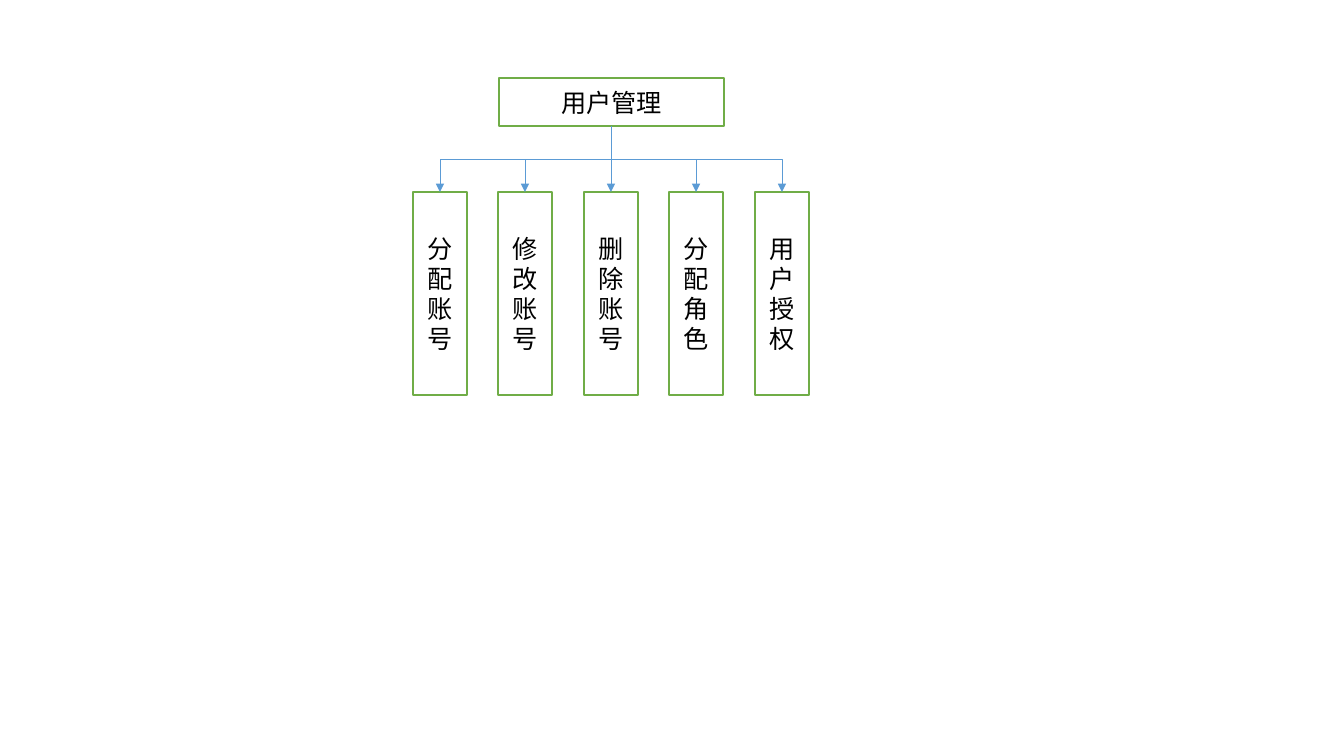
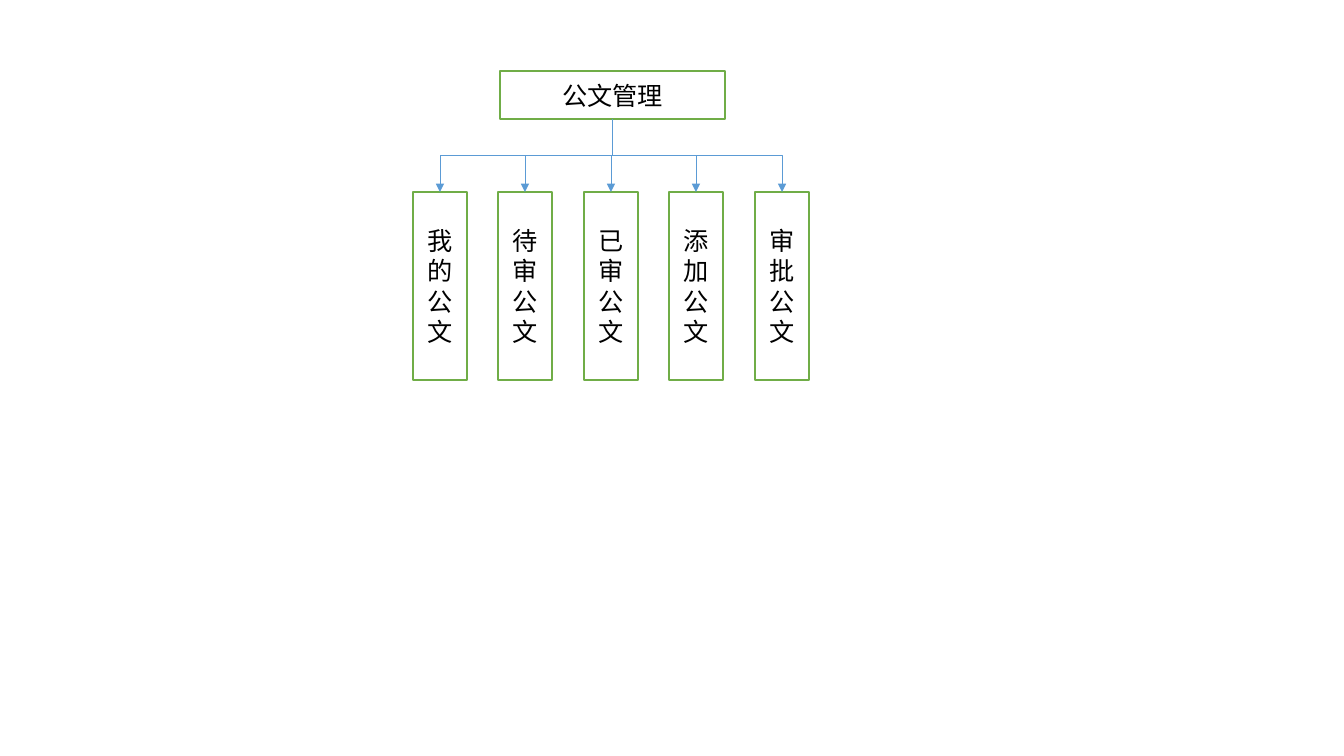
from lxml.etree import SubElement
from pptx import Presentation
from pptx.dml.color import RGBColor
from pptx.enum.shapes import MSO_CONNECTOR, MSO_SHAPE
from pptx.enum.text import MSO_ANCHOR, PP_ALIGN
from pptx.oxml.ns import qn
from pptx.util import Pt

SCALE = 914400 / 100.8
GREEN, BLUE, WHITE, BLACK = "70AD47", "5B9BD5", "FFFFFF", "000000"
TEXT_FORMAT = {"name": "Calibri", "size": Pt(18)}
TOP_SITE, BOTTOM_SITE = 0, 2


def px(length):
    return round(length * SCALE)


def colour(value):
    return RGBColor.from_string(value)


class Chart:
    """Holds the shared style and the slide being drawn."""

    def __init__(self, deck):
        self.deck = deck
        self.slide = None

    def new_slide(self):
        self.slide = self.deck.slides.add_slide(self.deck.slide_layouts[6])

    def box(self, text, left, top, width, height):
        box = self.slide.shapes.add_shape(
            MSO_SHAPE.RECTANGLE, px(left), px(top), px(width), px(height))
        box.shadow.inherit = False
        box.fill.solid()
        box.fill.fore_color.rgb = colour(WHITE)
        box.line.color.rgb = colour(GREEN)
        box.line.width = Pt(1)
        frame = box.text_frame
        frame.word_wrap = True
        frame.vertical_anchor = MSO_ANCHOR.MIDDLE
        para = frame.paragraphs[0]
        para.alignment = PP_ALIGN.CENTER
        span = para.add_run()
        span.text = text
        for name, value in TEXT_FORMAT.items():
            setattr(span.font, name, value)
        span.font.color.rgb = colour(BLACK)
        return box

    def arrow(self, parent, child):
        start_x = parent.left + parent.width // 2
        start_y = parent.top + parent.height
        end_x, end_y = child.left + child.width // 2, child.top
        arrow = self.slide.shapes.add_connector(
            MSO_CONNECTOR.ELBOW, start_x, start_y, end_x, end_y)
        arrow.begin_connect(parent, BOTTOM_SITE)
        arrow.end_connect(child, TOP_SITE)

        # Turn the elbow so that it leaves downwards
        run, drop = abs(end_x - start_x), end_y - start_y
        placement = {
            "left": (start_x + end_x - drop) // 2,
            "top": (start_y + end_y - run) // 2,
            "width": drop,
            "height": run,
        }
        for name, value in placement.items():
            setattr(arrow, name, value)
        to_right = end_x > start_x
        turn = {"rot": "16200000" if to_right else "5400000",
                "flipH": "1" if to_right else "0", "flipV": "0"}
        properties = arrow._element.spPr
        for name, value in turn.items():
            properties.find(qn("a:xfrm")).set(name, value)

        # Line, arrowhead and no shadow
        arrow.line.color.rgb = colour(BLUE)
        arrow.line.width = Pt(0.5)
        SubElement(properties.find(qn("a:ln")), qn("a:tailEnd"), type="triangle")
        SubElement(properties, qn("a:effectLst"))

    def tree(self, title, left, top, height, labels):
        self.new_slide()
        parent = self.box(title, left, top, 225, 48)
        for index, label in enumerate(labels):
            child_left = 413 + 342 * index // (len(labels) - 1)
            self.arrow(parent, self.box(label, child_left, 192, 54, height))


deck = Presentation()
deck.slide_width, deck.slide_height = px(1344), px(756)
chart = Chart(deck)

# User management
chart.tree("用户管理", 499, 78, 203,
           ["分配账号", "修改账号", "删除账号", "分配角色", "用户授权"])

# Document management
chart.tree("公文管理", 500, 71, 188,
           ["我的公文", "待审公文", "已审公文", "添加公文", "审批公文"])

deck.save("out.pptx")
